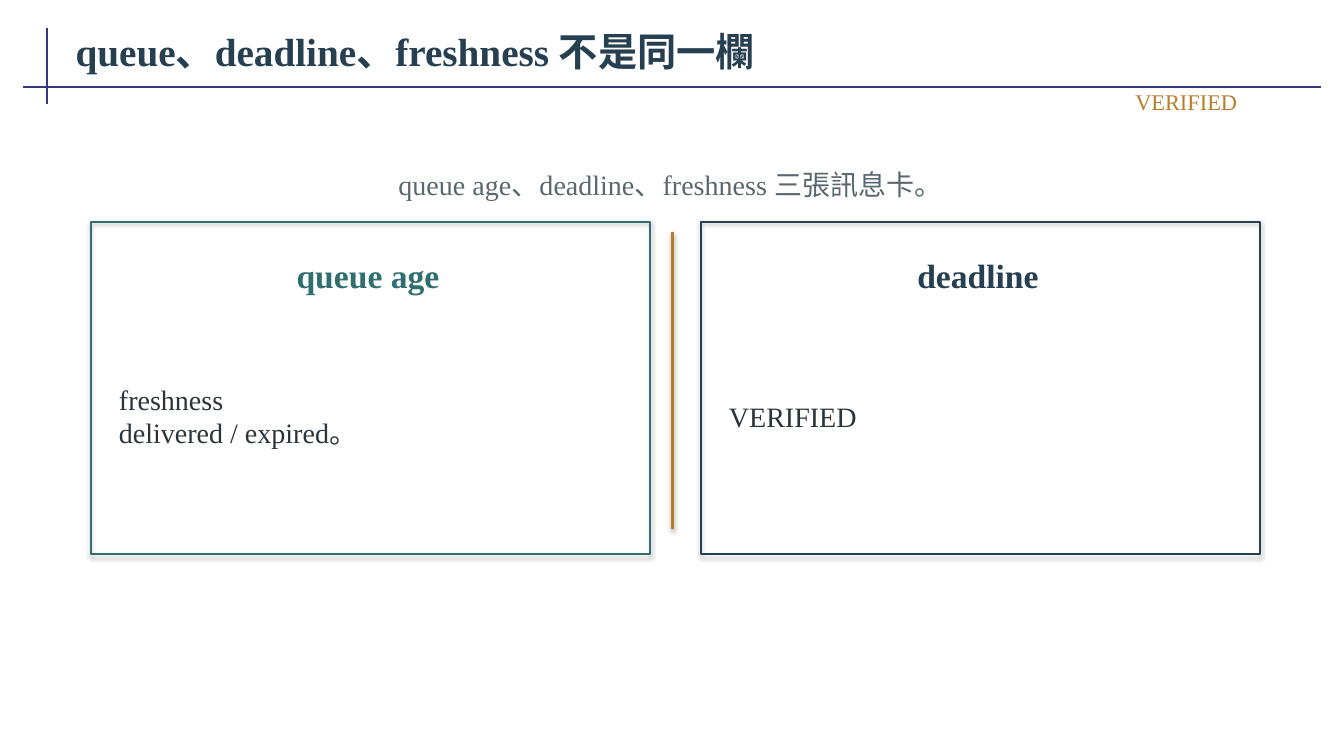
from dataclasses import dataclass

from lxml.etree import SubElement
from pptx import Presentation
from pptx.dml.color import RGBColor
from pptx.enum.shapes import MSO_CONNECTOR, MSO_SHAPE
from pptx.enum.text import MSO_ANCHOR, MSO_AUTO_SIZE, PP_ALIGN
from pptx.oxml.ns import qn
from pptx.util import Emu, Pt

PX_PER_INCH = 100
FONT = "Times New Roman"
NAVY, TEAL, AMBER = "263F51", "2F6F70", "B77D2D"
INDIGO, GREY, INK = "35377F", "59686F", "2A343A"


@dataclass
class Label:
    text: str
    box: tuple[int, int, int, int]
    size: int
    color: str
    align: PP_ALIGN = PP_ALIGN.LEFT
    bold: bool = False


@dataclass
class Rule:
    start: tuple[int, int]
    end: tuple[int, int]
    color: str
    width: float
    shadow: bool = False


@dataclass
class Card:
    left: int
    heading: str
    body: str
    color: str


TITLE = Label("queue、deadline、freshness 不是同一欄", (67, 19, 1200, 63), 28, NAVY, bold=True)
SUBTITLE = Label("queue age、deadline、freshness 三張訊息卡。", (90, 155, 1150, 55), 20, GREY, PP_ALIGN.CENTER)
STATUS = Label("VERIFIED", (915, 86, 320, 30), 16, AMBER, PP_ALIGN.RIGHT)
FRAME_RULES = [
    Rule((47, 28), (47, 103), INDIGO, 1.5),
    Rule((23, 86), (1310, 86), INDIGO, 1.5),
]
DIVIDER = Rule((667, 230), (667, 525), AMBER, 1.8, shadow=True)
CARDS = [
    Card(90, "queue age", "freshness\vdelivered / expired。", TEAL),
    Card(695, "deadline", "VERIFIED", NAVY),
]


def px(n: int) -> Emu:
    return Emu(n * 914400 // PX_PER_INCH)


def rgb(color: str) -> RGBColor:
    return RGBColor.from_string(color)


def set_attrs(target, values: dict) -> None:
    for name, value in values.items():
        setattr(target, name, value)


def write_label(sp, label: Label) -> None:
    tf = sp.text_frame
    set_attrs(tf, {
        "word_wrap": True,
        "vertical_anchor": MSO_ANCHOR.MIDDLE,
        "margin_left": px(8),
        "margin_right": px(8),
        "margin_top": px(4),
        "margin_bottom": px(4),
    })
    p = tf.paragraphs[0]
    p.text = label.text
    p.alignment = label.align
    for r in p.runs:
        set_attrs(r.font, {"name": FONT, "size": Pt(label.size), "bold": label.bold})
        r.font.color.rgb = rgb(label.color)


def add_title(s, label: Label) -> None:
    sp = s.shapes.title
    set_attrs(sp, dict(zip(("left", "top", "width", "height"), map(px, label.box))))
    write_label(sp, label)
    sp.text_frame.auto_size = MSO_AUTO_SIZE.NONE


def add_label(s, label: Label) -> None:
    write_label(s.shapes.add_textbox(*map(px, label.box)), label)


def add_rule(s, rule: Rule) -> None:
    cx = s.shapes.add_connector(MSO_CONNECTOR.STRAIGHT, *map(px, rule.start + rule.end))
    cx.line.color.rgb = rgb(rule.color)
    cx.line.width = Pt(rule.width)
    if not rule.shadow:
        SubElement(cx._element.spPr, qn("a:effectLst"))


def add_card(s, card: Card) -> None:
    sp = s.shapes.add_shape(MSO_SHAPE.RECTANGLE, *map(px, (card.left, 220, 555, 330)))
    sp.fill.background()
    sp.line.color.rgb = rgb(card.color)
    sp.line.width = Pt(1.2)
    add_label(s, Label(card.heading, (card.left + 15, 240, 520, 65), 24, card.color, PP_ALIGN.CENTER, True))
    add_label(s, Label(card.body, (card.left + 20, 315, 510, 195), 20, INK))


def main() -> None:
    prs = Presentation()
    prs.slide_width, prs.slide_height = px(1333), px(750)
    s = prs.slides.add_slide(prs.slide_layouts[5])
    for rule in FRAME_RULES:
        add_rule(s, rule)
    add_title(s, TITLE)
    add_label(s, SUBTITLE)
    for card in CARDS:
        add_card(s, card)
    add_rule(s, DIVIDER)
    add_label(s, STATUS)
    prs.save("out.pptx")


if __name__ == "__main__":
    main()
